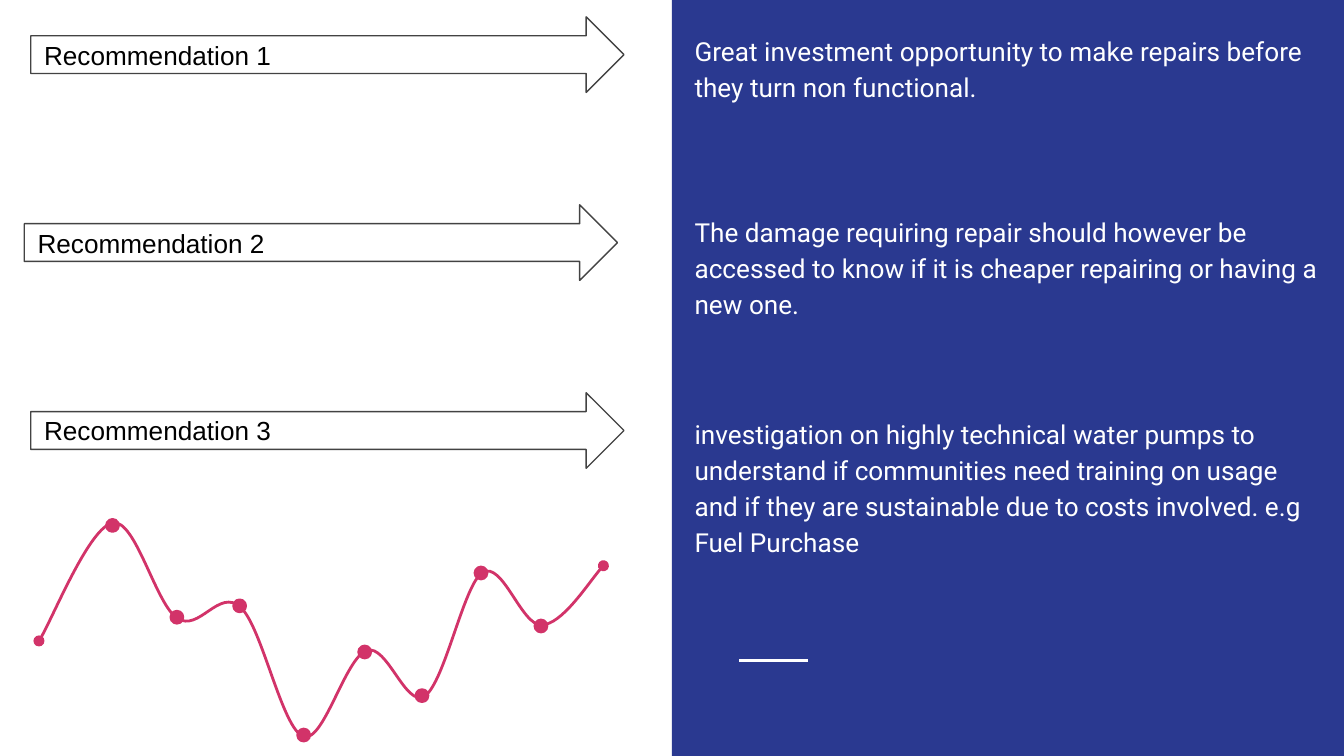
from dataclasses import dataclass

from lxml.etree import SubElement
from pptx import Presentation
from pptx.dml.color import RGBColor as RGB
from pptx.enum.shapes import MSO_CONNECTOR as CONNECTOR, MSO_SHAPE as SHAPE
from pptx.enum.text import MSO_ANCHOR as ANCHOR, PP_ALIGN as ALIGN
from pptx.oxml.ns import qn
from pptx.util import Pt


@dataclass(frozen=True)
class Theme:
    panel: RGB = RGB(0x2A, 0x39, 0x90)
    white: RGB = RGB(0xFF, 0xFF, 0xFF)
    black: RGB = RGB(0, 0, 0)
    outline: RGB = RGB(0x43, 0x43, 0x43)
    accent: RGB = RGB(0xD2, 0x33, 0x69)
    label_font: str = "Arial"
    body_font: str = "Roboto"
    text_size: float = 14
    thin: float = 0.75
    stroke: float = 1.5


theme = Theme()

# Content: label, arrow left, explanation, explanation top and height, space after
recommendations = [
    ("Recommendation 1", 16.5,
     "Great investment opportunity to make repairs before they turn non functional.",
     9.5, 51, 7),
    ("Recommendation 2", 13,
     "The damage requiring repair should however be accessed to know if it is "
     "cheaper repairing or having a new one.",
     106, 70.5, 7),
    ("Recommendation 3", 16.5,
     "investigation on highly technical water pumps to understand if communities "
     "need training on usage and if they are sustainable due to costs involved. "
     "e.g Fuel Purchase",
     214.5, 90, 0),
]

# Trend curve: start, then two control points and an end point per segment
curve_start = (20.9, 343.4)
curve_segments = [
    ((27.4, 333.4), (48.2, 282.2), (60.5, 280.1)),
    ((72.7, 277.9), (83.5, 324), (95, 331.2)),
    ((106.6, 339.1), (117.4, 314.6), (128.9, 325.4)),
    ((140.4, 335.5), (151.2, 391), (162.7, 394.6)),
    ((173.5, 398.2), (185, 352.1), (196.6, 348.5)),
    ((207.4, 344.9), (217.4, 379.4), (227.5, 373)),
    ((238.3, 365.8), (248.4, 313.2), (258.5, 306.7)),
    ((269.3, 300.2), (279.4, 335.5), (290.2, 334.8)),
    ((301, 334.8), (317.5, 308.9), (323.3, 303.1)),
]
dot_centers = [(60.3, 281.5), (94.8, 330.7), (128.4, 324.6), (162.7, 393.8),
               (195.4, 349.3), (226.1, 372.7), (257.7, 307), (289.8, 335.4)]

# Layout
PAGE_WIDTH, PAGE_HEIGHT = 720, 405
ARROW_TOP, ARROW_STEP, ARROW_WIDTH, ARROW_HEIGHT = 9, 100.7, 317.8, 40.5
BODY_LEFT, BODY_WIDTH = 365, 350.5
INSET = 7.2
DOT = 6.4

deck = Presentation()
deck.slide_width, deck.slide_height = Pt(PAGE_WIDTH), Pt(PAGE_HEIGHT)
page = deck.slides.add_slide(deck.slide_layouts[6])


def paint(shape, fill=None, line=None, weight=theme.stroke):
    shape.shadow.inherit = False
    if fill is None:
        shape.fill.background()
    else:
        shape.fill.solid()
        shape.fill.fore_color.rgb = fill
    if line is None:
        shape.line.fill.background()
    else:
        shape.line.color.rgb = line
        shape.line.width = Pt(weight)


def add_shape(kind, left, top, width, height, **paints):
    shape = page.shapes.add_shape(kind, Pt(left), Pt(top), Pt(width), Pt(height))
    paint(shape, **paints)
    return shape


def write(shape, text, font, color, anchor):
    frame = shape.text_frame
    frame.text = text
    frame.word_wrap = True
    frame.vertical_anchor = anchor
    frame.margin_left = frame.margin_right = Pt(INSET)
    frame.margin_top = frame.margin_bottom = Pt(INSET)
    para = frame.paragraphs[0]
    para.alignment = ALIGN.LEFT
    span = para.runs[0]
    span.font.name, span.font.size = font, Pt(theme.text_size)
    span.font.color.rgb = color
    return para


def add_curve(start, segments):
    builder = page.shapes.build_freeform(Pt(start[0]), Pt(start[1]))
    builder.add_line_segments([(Pt(x), Pt(y)) for *_, (x, y) in segments], close=False)
    curve = builder.convert_to_shape()
    paint(curve, line=theme.accent)
    # Bend each straight segment into a cubic one
    for straight, points in zip(list(curve.element.iter(qn("a:lnTo"))), segments):
        straight.tag = qn("a:cubicBezTo")
        for node in list(straight):
            straight.remove(node)
        for x, y in points:
            SubElement(straight, qn("a:pt"), x=str(Pt(x) - curve.left),
                       y=str(Pt(y) - curve.top))
    outline = curve.element.spPr.find(qn("a:ln"))
    for end in ("a:headEnd", "a:tailEnd"):
        SubElement(outline, qn(end), type="oval")


# Right panel with its short rule
add_shape(SHAPE.RECTANGLE, PAGE_WIDTH / 2, 0, PAGE_WIDTH / 2, PAGE_HEIGHT,
          fill=theme.panel)
rule = page.shapes.add_connector(CONNECTOR.STRAIGHT, Pt(396), Pt(354), Pt(433), Pt(354))
rule.line.color.rgb = theme.white
rule.line.width = Pt(theme.stroke)
SubElement(rule.element.spPr, qn("a:effectLst"))

# Trend curve and its dots
add_curve(curve_start, curve_segments)
for x, y in dot_centers:
    add_shape(SHAPE.OVAL, x - DOT / 2, y - DOT / 2, DOT, DOT,
              fill=theme.accent, line=theme.accent)

# Recommendation arrows and their explanations
for row, (label, left, body, top, height, space) in enumerate(recommendations):
    arrow = add_shape(SHAPE.RIGHT_ARROW, left, ARROW_TOP + row * ARROW_STEP,
                      ARROW_WIDTH, ARROW_HEIGHT,
                      fill=theme.white, line=theme.outline, weight=theme.thin)
    write(arrow, label, theme.label_font, theme.black, ANCHOR.MIDDLE)

    box = page.shapes.add_textbox(Pt(BODY_LEFT), Pt(top), Pt(BODY_WIDTH), Pt(height))
    para = write(box, body, theme.body_font, theme.white, ANCHOR.TOP)
    para.line_spacing = 1.15
    para.space_after = Pt(space)

deck.save("out.pptx")
